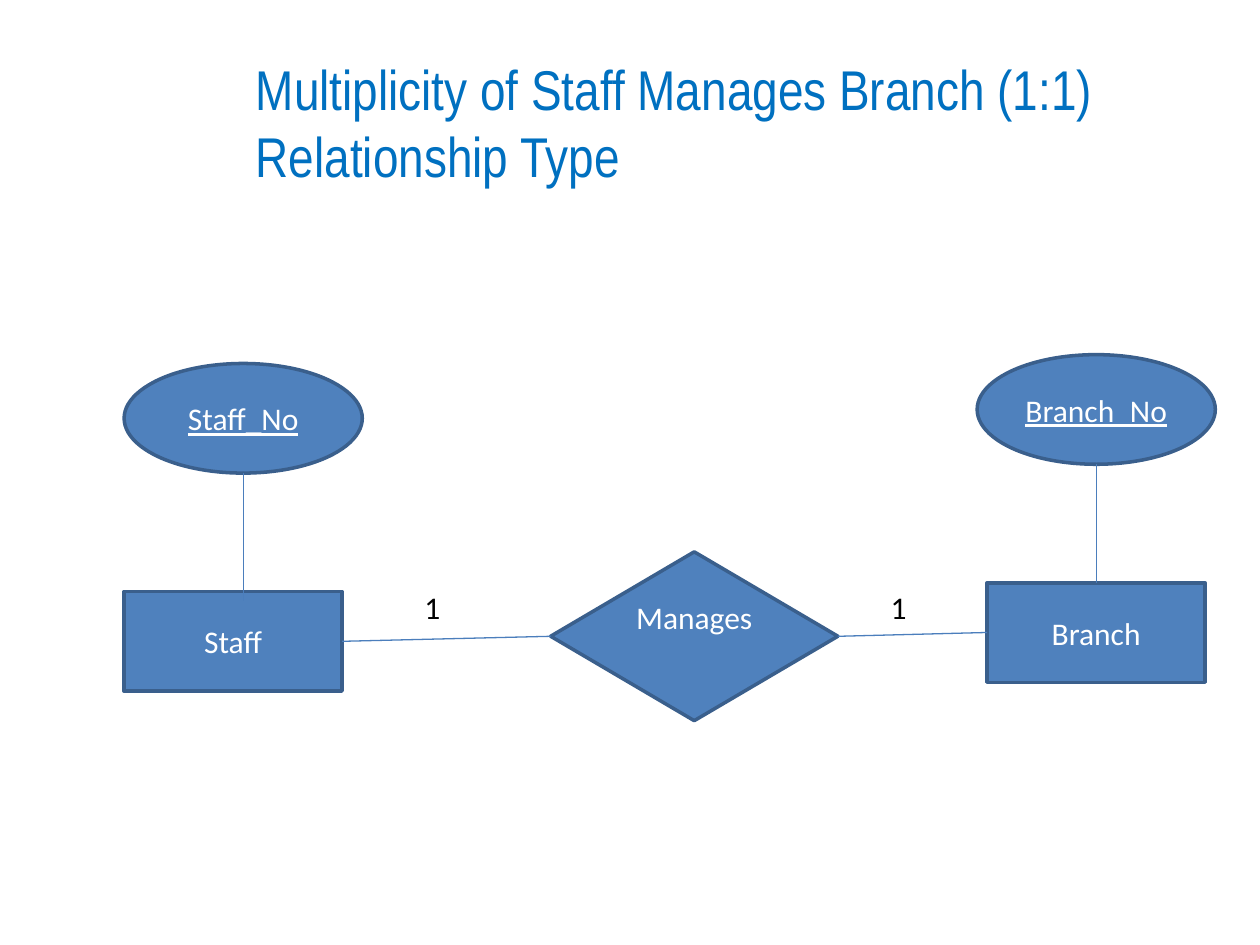
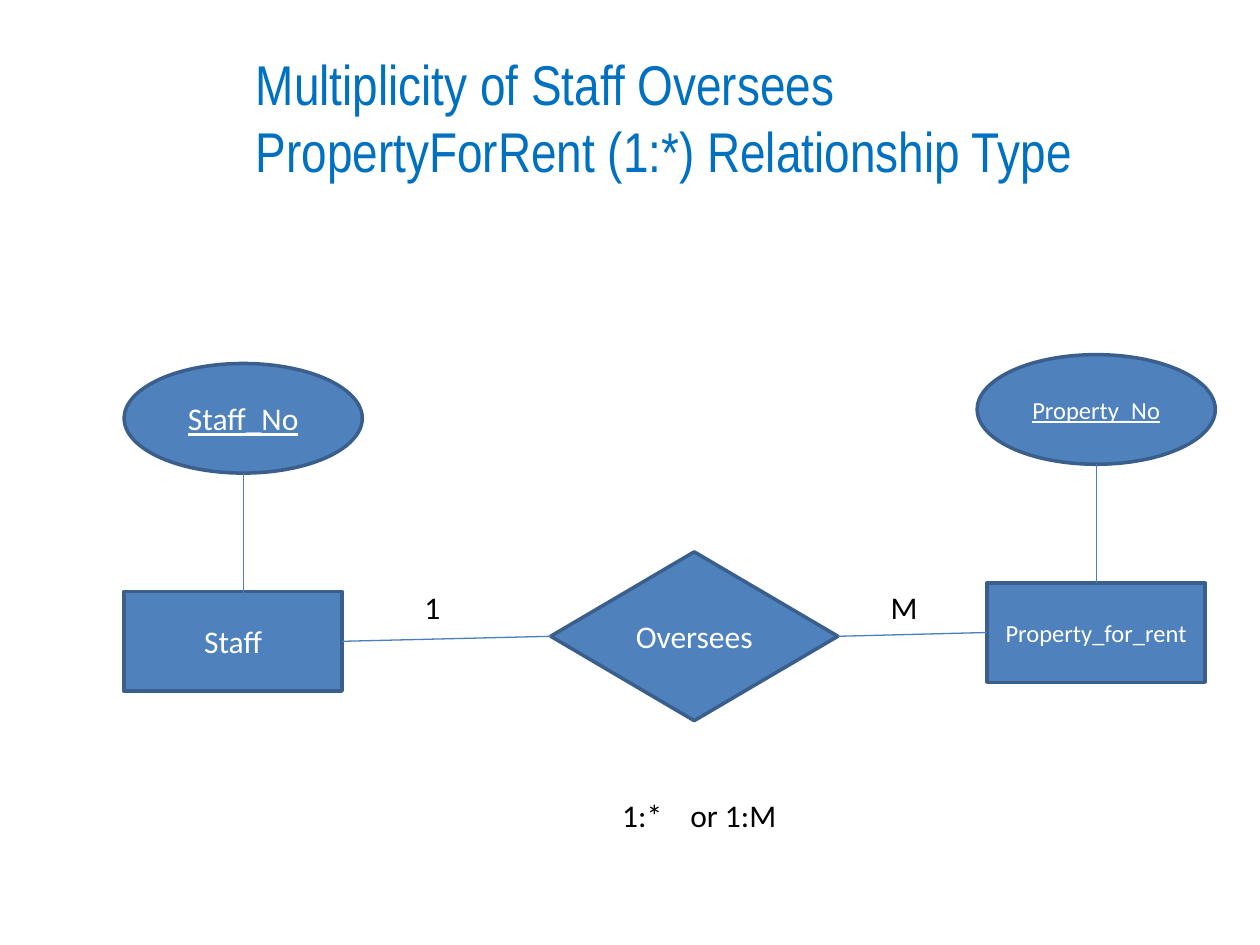
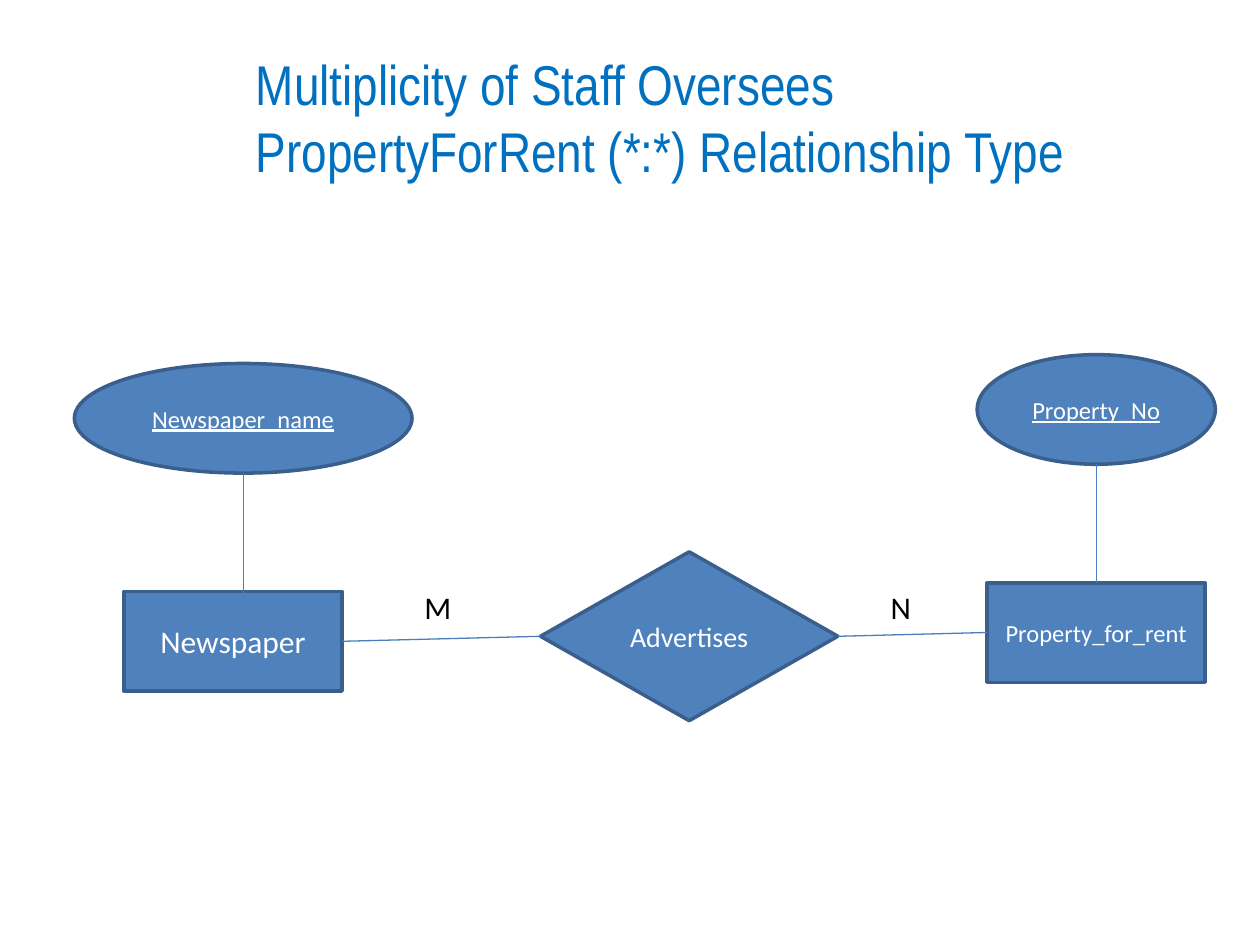
from dataclasses import dataclass

from lxml import etree
from pptx import Presentation
from pptx.dml.color import RGBColor
from pptx.enum.shapes import MSO_CONNECTOR, MSO_SHAPE
from pptx.enum.text import MSO_ANCHOR, MSO_AUTO_SIZE, PP_ALIGN
from pptx.oxml.ns import qn
from pptx.util import Emu, Inches, Pt

RECTANGLE, OVAL, DIAMOND = MSO_SHAPE.RECTANGLE, MSO_SHAPE.OVAL, MSO_SHAPE.FLOWCHART_DECISION
STRAIGHT = MSO_CONNECTOR.STRAIGHT
TOP, MIDDLE, BOTTOM = MSO_ANCHOR.TOP, MSO_ANCHOR.MIDDLE, MSO_ANCHOR.BOTTOM
LEFT, CENTER = PP_ALIGN.LEFT, PP_ALIGN.CENTER
NO_FIT = MSO_AUTO_SIZE.NONE
TOP_SITE, LEFT_SITE, RIGHT_SITE = 0, 1, 3


@dataclass(frozen=True)
class Theme:
    title_font: str = "Arial Narrow"
    body_font: str = "Calibri"
    title_color: str = "0070C0"
    fill: str = "4F81BD"
    outline: str = "3A5F8C"
    link: str = "4B7EBC"
    on_fill: str = "FFFFFF"
    ink: str = "000000"
    title: int = 32
    normal: int = 18
    compact: int = 16
    small: int = 14
    outline_width: float = 2
    link_width: float = 0.75


THEME = Theme()

STAFF = {"entity": ("Staff", THEME.normal), "key": ("Staff_No", THEME.normal)}
BRANCH = {"entity": ("Branch", THEME.normal), "key": ("Branch_No", THEME.normal)}
PROPERTY = {"entity": ("Property_for_rent", THEME.small), "key": ("Property_No", THEME.small)}
NEWSPAPER = {"entity": ("Newspaper", THEME.normal), "key": ("Newspaper_name", THEME.small),
             "key_columns": 26.8}

DIAGRAMS = [
    {"title": "Multiplicity of Staff Manages Branch (1:1) Relationship Type",
     "title_anchor": BOTTOM, "relation": ("Manages", THEME.normal), "relation_anchor": TOP,
     "sides": (STAFF, BRANCH), "multiplicity": ("1", "1")},
    {"title": "Multiplicity of Staff Oversees PropertyForRent (1:*) Relationship Type",
     "relation": ("Oversees", THEME.normal),
     "sides": (STAFF, PROPERTY), "multiplicity": ("1", "M"), "notation": "1:*\tor 1:M"},
    {"title": "Multiplicity of Staff Oversees PropertyForRent (*:*) Relationship Type",
     "relation": ("Advertises", THEME.compact), "relation_columns": 23.6,
     "sides": (NEWSPAPER, PROPERTY), "multiplicity": ("M", "N")},
]

COLUMNS, ROWS = 100, 75
SLIDE_WIDTH, SLIDE_HEIGHT = Inches(10), Inches(7.5)

TITLE_BOX = (19.3, 3, 75.7, 12.5)
ENTITY_SIZE = (17.3, 7.9)
KEY_SIZE = (18.9, 8.7)
RELATION_SIZE = (22.8, 13.4)
RELATION_RIGHT, RELATION_ROW = 66.5, 50.5
ENTITY_CENTERS = (18.5, 87)
KEY_CENTERS = (19.3, 87)
ENTITY_ROW, KEY_ROW = 50.9, 33.2
RISES = (0, 0.7)
KEY_LINK_ENDS = (47.7, 46.2)
MULTIPLICITY_LEFTS = (32.7, 69.7)
LABEL_TOP, LABEL_SIZE = 46.2, (4.2, 4)
NOTATION_BOX = (48.4, 62.7, 16, 4)
NOTATION_TAB = 5.4


def across(columns):
    return Emu(round(SLIDE_WIDTH * columns / COLUMNS))


def down(rows):
    return Emu(round(SLIDE_HEIGHT * rows / ROWS))


def place(left, top, width, height):
    return across(left), down(top), across(width), down(height)


def centered(column, row, size):
    width, height = size
    return place(column - width / 2, row - height / 2, width, height)


def write(frame, words, size, color, font=THEME.body_font, align=LEFT, anchor=TOP, underline=None):
    frame.word_wrap = True
    frame.auto_size = NO_FIT
    frame.vertical_anchor = anchor
    paragraph = frame.paragraphs[0]
    paragraph.alignment = align
    run = paragraph.add_run()
    run.text = words
    run.font.name = font
    run.font.size = Pt(size)
    run.font.color.rgb = RGBColor.from_string(color)
    run.font.underline = underline
    return paragraph


def add_node(slide, outline, box, label, anchor=MIDDLE, underline=None):
    node = slide.shapes.add_shape(outline, *box)
    node.shadow.inherit = False
    node.fill.solid()
    node.fill.fore_color.rgb = RGBColor.from_string(THEME.fill)
    node.line.color.rgb = RGBColor.from_string(THEME.outline)
    node.line.width = Pt(THEME.outline_width)
    words, size = label
    write(node.text_frame, words, size, THEME.on_fill, align=CENTER, anchor=anchor,
          underline=underline)
    return node


def add_link(slide, start=(0, 0), end=(0, 0)):
    link = slide.shapes.add_connector(STRAIGHT, across(start[0]), down(start[1]),
                                      across(end[0]), down(end[1]))
    link.line.color.rgb = RGBColor.from_string(THEME.link)
    link.line.width = Pt(THEME.link_width)
    etree.SubElement(link.element.spPr, qn("a:effectLst"))
    return link


def add_label(slide, box, words):
    label = slide.shapes.add_textbox(*box)
    return write(label.text_frame, words, THEME.normal, THEME.ink)


def add_title(slide, words, anchor):
    title = slide.shapes.title
    title.left, title.top, title.width, title.height = place(*TITLE_BOX)
    write(title.text_frame, words, THEME.title, THEME.title_color, THEME.title_font, anchor=anchor)


def add_relation(slide, diagram):
    width = diagram.get("relation_columns", RELATION_SIZE[0])
    box = centered(RELATION_RIGHT - width / 2, RELATION_ROW, (width, RELATION_SIZE[1]))
    anchor = diagram.get("relation_anchor", MIDDLE)
    relation = add_node(slide, DIAMOND, box, diagram["relation"], anchor)
    if anchor == TOP:
        relation.text_frame.margin_top = Inches(0.03)
    return relation


def add_side(slide, index, side):
    rise = RISES[index]
    key_size = (side.get("key_columns", KEY_SIZE[0]), KEY_SIZE[1])
    key_column, key_row = KEY_CENTERS[index], KEY_ROW - rise
    add_node(slide, OVAL, centered(key_column, key_row, key_size), side["key"], underline=True)
    entity_box = centered(ENTITY_CENTERS[index], ENTITY_ROW - rise, ENTITY_SIZE)
    entity = add_node(slide, RECTANGLE, entity_box, side["entity"])
    key_link = add_link(slide, (key_column, key_row + KEY_SIZE[1] / 2),
                        (key_column, KEY_LINK_ENDS[index]))
    if key_column == ENTITY_CENTERS[index]:
        key_link.end_connect(entity, TOP_SITE)
    return entity


def add_notation(slide, words):
    paragraph = add_label(slide, place(*NOTATION_BOX), words)
    properties = paragraph._p.get_or_add_pPr()
    stops = etree.SubElement(properties, qn("a:tabLst"))
    etree.SubElement(stops, qn("a:tab"), pos=str(across(NOTATION_TAB)), algn="l")


def add_diagram(deck, diagram):
    slide = deck.slides.add_slide(deck.slide_layouts.get_by_name("Title Only"))
    add_title(slide, diagram["title"], diagram.get("title_anchor", MIDDLE))
    relation = add_relation(slide, diagram)
    entities = [add_side(slide, index, side) for index, side in enumerate(diagram["sides"])]
    chain = [entities[0], relation, entities[1]]
    for source, target in zip(chain, chain[1:]):
        link = add_link(slide)
        link.begin_connect(source, RIGHT_SITE)
        link.end_connect(target, LEFT_SITE)
    for left, words in zip(MULTIPLICITY_LEFTS, diagram["multiplicity"]):
        add_label(slide, place(left, LABEL_TOP, *LABEL_SIZE), words)
    if "notation" in diagram:
        add_notation(slide, diagram["notation"])


def main():
    deck = Presentation()
    deck.slide_width, deck.slide_height = SLIDE_WIDTH, SLIDE_HEIGHT
    for diagram in DIAGRAMS:
        add_diagram(deck, diagram)
    deck.save("out.pptx")


if __name__ == "__main__":
    main()
